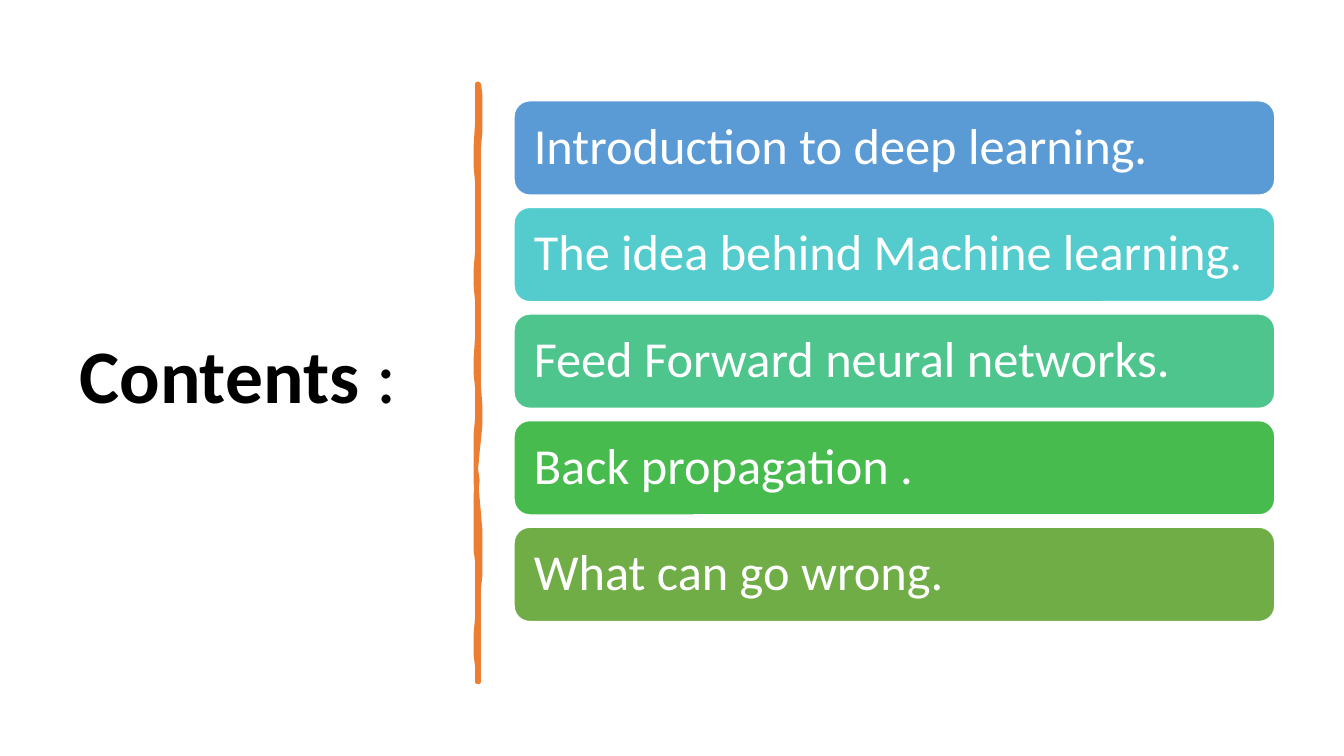
from pptx import Presentation
from pptx.dml.color import RGBColor
from pptx.enum import shapes, text
from pptx.util import Pt

BLACK = RGBColor(0x00, 0x00, 0x00)
WHITE = RGBColor(0xFF, 0xFF, 0xFF)
ORANGE = RGBColor(0xED, 0x7D, 0x31)
BLUE = RGBColor(0x5B, 0x9B, 0xD5)
TURQUOISE = RGBColor(0x54, 0xCC, 0xCD)
MINT = RGBColor(0x4D, 0xC5, 0x8D)
GREEN = RGBColor(0x48, 0xBB, 0x4F)
OLIVE = RGBColor(0x70, 0xAD, 0x47)
FONT = "Calibri"

prs = Presentation()
prs.slide_width, prs.slide_height = Pt(960), Pt(540)
s = prs.slides.add_slide(prs.slide_layouts[6])

# Title
sp = s.shapes.add_textbox(Pt(49.7), Pt(50.4), Pt(269.3), Pt(440))
tf = sp.text_frame
tf.word_wrap = True
tf.vertical_anchor = text.MSO_ANCHOR.MIDDLE
p = tf.paragraphs[0]
p.line_spacing = 0.9
for words, bold in (("Contents ", True), (":", False)):
    r = p.add_run()
    r.text = words
    r.font.name, r.font.size, r.font.bold = FONT, Pt(54), bold
    r.font.color.rgb = BLACK

# Hand-drawn divider: each curve is two control points and an end point
start = (342, 60.5)
curves = [
    # right edge, downwards
    (343.4, 73.4, 343.4, 85.7, 342, 105.1),
    (340.6, 124.6, 342.7, 140.4, 342, 162.7),
    (341.3, 185, 342, 188.6, 342, 211.7),
    (341.3, 234, 343.4, 246.2, 342, 256.3),
    (340.6, 266.4, 344.9, 298.1, 342, 313.9),
    (339.1, 329, 339.8, 348.5, 342, 367.2),
    (343.4, 385.9, 343.4, 406.1, 342, 420.5),
    (340.6, 434.2, 342.7, 468, 342, 486.7),
    # left edge, upwards
    (341.3, 486.7, 340.6, 486.7, 340.6, 486.7),
    (341.3, 465.1, 339.1, 463.7, 340.6, 441.4),
    (341.3, 419.8, 341.3, 410.4, 340.6, 401),
    (339.8, 391.7, 339.8, 356.4, 340.6, 343.4),
    (340.6, 330.5, 339.1, 320.4, 340.6, 298.8),
    (341.3, 277.9, 339.8, 268.6, 340.6, 241.2),
    (341.3, 214.6, 339.8, 202.3, 340.6, 180),
    (341.3, 157, 342, 144, 340.6, 130.3),
    (338.4, 117.4, 343.4, 74.9, 340.6, 60.5),
]
points = []
x0, y0 = start
for x1, y1, x2, y2, x3, y3 in curves:
    for t in (0.2, 0.4, 0.6, 0.8, 1):
        a, b, c, d = (1 - t) ** 3, 3 * t * (1 - t) ** 2, 3 * t * t * (1 - t), t ** 3
        points.append((a * x0 + b * x1 + c * x2 + d * x3,
                       a * y0 + b * y1 + c * y2 + d * y3))
    x0, y0 = x3, y3
builder = s.shapes.build_freeform(*start, scale=Pt(1))
builder.add_line_segments(points, close=True)
sp = builder.convert_to_shape()
sp.shadow.inherit = False
sp.fill.solid()
sp.fill.fore_color.rgb = ORANGE
sp.line.color.rgb = ORANGE
sp.line.width = Pt(3.25)

# Topic bars
topics = [
    ("Introduction to deep learning.", BLUE),
    ("The idea behind Machine learning.", TURQUOISE),
    ("Feed Forward neural networks.", MINT),
    ("Back propagation .", GREEN),
    ("What can go wrong.", OLIVE),
]
for i, (topic, color) in enumerate(topics):
    sp = s.shapes.add_shape(shapes.MSO_SHAPE.ROUNDED_RECTANGLE,
                            Pt(367.2), Pt(72 + 76.15 * i), Pt(543.4), Pt(67.4))
    sp.shadow.inherit = False
    sp.fill.solid()
    sp.fill.fore_color.rgb = color
    sp.line.color.rgb = WHITE
    sp.line.width = Pt(1)
    tf = sp.text_frame
    tf.text = topic
    tf.word_wrap = True
    tf.vertical_anchor = text.MSO_ANCHOR.MIDDLE
    tf.margin_left = tf.margin_right = tf.margin_top = tf.margin_bottom = Pt(10.8)
    p = tf.paragraphs[0]
    p.alignment = text.PP_ALIGN.LEFT
    p.line_spacing = 0.9
    r = p.runs[0]
    r.font.name, r.font.size = FONT, Pt(36)
    r.font.color.rgb = WHITE

prs.save("out.pptx")
